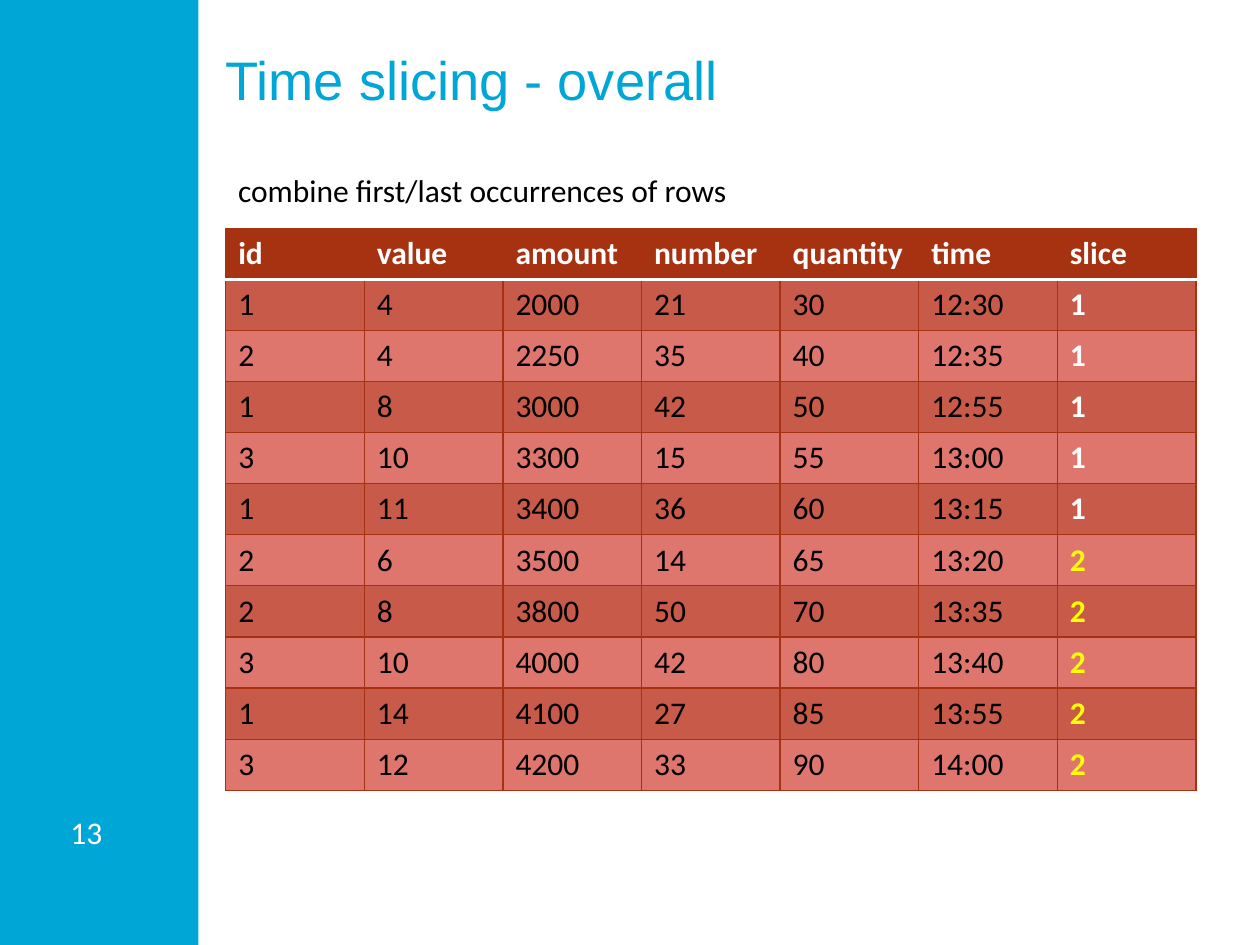
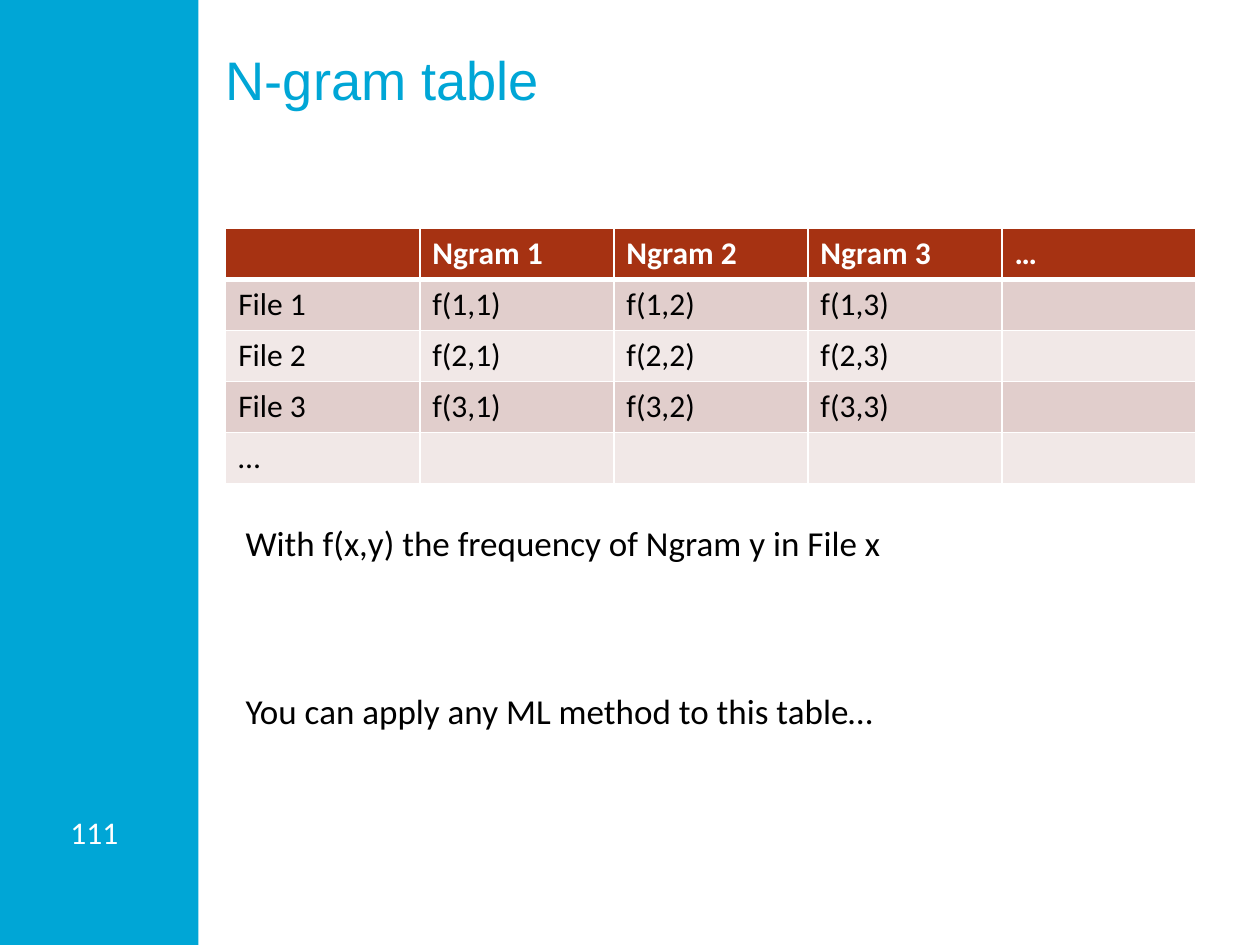
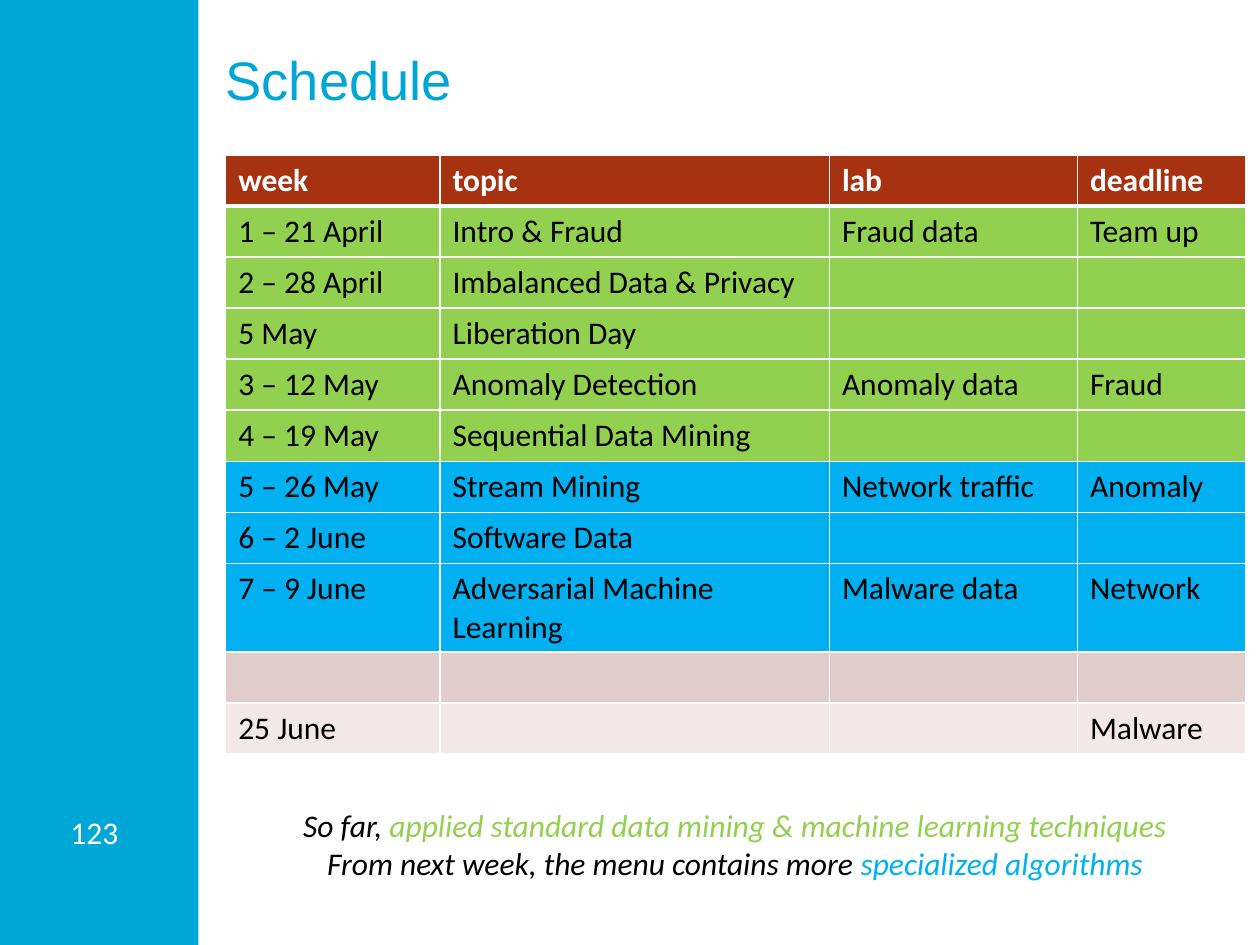
from lxml.etree import SubElement
from pptx import Presentation
from pptx.dml.color import RGBColor
from pptx.enum.shapes import MSO_SHAPE
from pptx.enum.text import MSO_ANCHOR, MSO_AUTO_SIZE, PP_ALIGN
from pptx.oxml.ns import qn
from pptx.util import Cm, Pt

# Shared look
CYAN, RUST, WHITE, BLACK = "00A6D6", "A63212", "FFFFFF", "000000"
GREEN, BLUE, YELLOW = "92D050", "00B0F0", "FFFF00"
PALE_BANDS = ("E1CECC", "F1E8E7")
RED_BANDS = ("C85A49", "DE766E")
LEFT, WIDTH, ROW_HEIGHT = 4.55, 19.56, 1.03

SLICES = [
    ["id", "value", "amount", "number", "quantity", "time", "slice"],
    ["1", "4", "2000", "21", "30", "12:30", "1"],
    ["2", "4", "2250", "35", "40", "12:35", "1"],
    ["1", "8", "3000", "42", "50", "12:55", "1"],
    ["3", "10", "3300", "15", "55", "13:00", "1"],
    ["1", "11", "3400", "36", "60", "13:15", "1"],
    ["2", "6", "3500", "14", "65", "13:20", "2"],
    ["2", "8", "3800", "50", "70", "13:35", "2"],
    ["3", "10", "4000", "42", "80", "13:40", "2"],
    ["1", "14", "4100", "27", "85", "13:55", "2"],
    ["3", "12", "4200", "33", "90", "14:00", "2"],
]
NGRAMS = [
    ["", "Ngram 1", "Ngram 2", "Ngram 3", "…"],
    *[[f"File {x}", *[f"f({x},{y})" for y in (1, 2, 3)], ""] for x in (1, 2, 3)],
    ["…", "", "", "", ""],
]
SCHEDULE = [
    ["week", "topic", "lab", "deadline"],
    ["1 – 21 April", "Intro & Fraud", "Fraud data", "Team up"],
    ["2 – 28 April", "Imbalanced Data & Privacy", "", ""],
    ["5 May", "Liberation Day", "", ""],
    ["3 – 12 May", "Anomaly Detection", "Anomaly data", "Fraud"],
    ["4 – 19 May", "Sequential Data Mining", "", ""],
    ["5 – 26 May", "Stream Mining", "Network traffic", "Anomaly"],
    ["6 – 2 June", "Software Data", "", ""],
    ["7 – 9 June", "Adversarial Machine Learning", "Malware data", "Network"],
    ["", "", "", ""],
    ["25 June", "", "", "Malware"],
]


def rgb(hex_color):
    return RGBColor.from_string(hex_color)


def style(p, size=18, color=BLACK, bold=False, name="Calibri"):
    for r in p.runs:
        r.font.name, r.font.size, r.font.bold = name, Pt(size), bold
        r.font.color.rgb = rgb(color)


def add_text(s, box, lines, size=18, color=BLACK):
    """Add a text box with one paragraph per line."""
    tf = s.shapes.add_textbox(*map(Cm, box)).text_frame
    tf.word_wrap = True
    tf.text = "\n".join(lines)
    for p in tf.paragraphs:
        style(p, size, color)
    return tf


def add_base_slide(prs, title, number):
    """Add a slide with side band, page number and title."""
    s = prs.slides.add_slide(prs.slide_layouts[5])

    # Side band, behind everything else
    band = s.shapes.add_shape(MSO_SHAPE.RECTANGLE, 0, 0, Cm(4), prs.slide_height)
    band.shadow.inherit = False
    band.fill.solid()
    band.fill.fore_color.rgb = rgb(CYAN)
    band.line.fill.background()

    # Page number
    tf = add_text(s, (1.24, 16.28, 1.37, 1.02), [str(number)], color=WHITE)
    tf.margin_left = tf.margin_right = Cm(0.18)
    tf.margin_top = tf.margin_bottom = Cm(0.1)

    # Title
    sp = s.shapes.title
    sp.left, sp.top, sp.width, sp.height = map(Cm, (LEFT, 0.94, WIDTH, 2.95))
    tf = sp.text_frame
    tf.text = title
    tf.auto_size = MSO_AUTO_SIZE.NONE
    tf.vertical_anchor = MSO_ANCHOR.TOP
    tf.margin_left = tf.margin_right = tf.margin_top = tf.margin_bottom = 0
    p = tf.paragraphs[0]
    p.alignment = PP_ALIGN.LEFT
    style(p, 31, CYAN, name="Arial")
    return s


def set_border(cell, side, color, width):
    ln = SubElement(cell._tc.get_or_add_tcPr(), qn(f"a:ln{side}"), w=str(Pt(width)))
    SubElement(SubElement(ln, qn("a:solidFill")), qn("a:srgbClr"), val=color)


def add_grid(s, top, rows, col_widths, fills, line=(WHITE, 1), rule=(WHITE, 3)):
    """Add a table with a rust header, ruled off from rows filled by fills."""
    frame = s.shapes.add_table(
        len(rows), len(col_widths), Cm(LEFT), Cm(top),
        Cm(sum(col_widths)), Cm(ROW_HEIGHT * len(rows)))
    table = frame.table
    for column, width in zip(table.columns, col_widths):
        column.width = Cm(width)
    for i, values in enumerate(rows):
        table.rows[i].height = Cm(ROW_HEIGHT)
        for j, value in enumerate(values):
            cell = table.cell(i, j)
            set_border(cell, "L", *line)
            set_border(cell, "R", *line)
            set_border(cell, "T", *(rule if i == 1 else line))
            set_border(cell, "B", *(rule if i == 0 else line))
            cell.fill.solid()
            cell.fill.fore_color.rgb = rgb(fills[i - 1] if i else RUST)
            cell.text = value
            style(cell.text_frame.paragraphs[0], color=BLACK if i else WHITE, bold=i == 0)
    return table


def build_slicing(prs):
    s = add_base_slide(prs, "Time slicing - overall", 13)
    table = add_grid(s, 4.6, SLICES, [WIDTH / 7] * 7, RED_BANDS * 5,
                     line=(RUST, 0.79), rule=(WHITE, 2))
    # Slice numbers stand out by colour
    for i, row in enumerate(SLICES[1:], 1):
        p = table.cell(i, 6).text_frame.paragraphs[0]
        style(p, color=WHITE if row[6] == "1" else YELLOW, bold=True)
    add_text(s, (LEFT, 3.33, 14.86, 1.27), ["combine first/last occurrences of rows"])


def build_ngrams(prs):
    s = add_base_slide(prs, "N-gram table", 111)
    add_grid(s, 4.6, NGRAMS, [WIDTH / 5] * 5, PALE_BANDS * 2)
    tf = add_text(s, (4.7, 10.39, 13.61, 4.52),
                  ["With f(x,y) the frequency of Ngram y in File x",
                   "You can apply any ML method to this table…"], size=20)
    tf.paragraphs[1].space_before = Pt(72)


def build_schedule(prs):
    s = add_base_slide(prs, "Schedule", 123)
    fills = [GREEN] * 5 + [BLUE] * 3 + list(PALE_BANDS)
    add_grid(s, 3.12, SCHEDULE, [4.32, 7.85, 5, 3.4], fills)

    # Summary, each line ending in the colour of its rows
    summary = [
        ("So far, ", "applied standard data mining & machine learning techniques", GREEN),
        ("From next week, the menu contains more ", "specialized algorithms", BLUE),
    ]
    tf = add_text(s, (5.64, 16.13, 18.36, 1.83), [lead for lead, _, _ in summary])
    for p, (_, ending, color) in zip(tf.paragraphs, summary):
        p.alignment = PP_ALIGN.CENTER
        p.add_run().text = ending
        style(p)
        p.runs[1].font.color.rgb = rgb(color)
        for r in p.runs:
            r.font.italic = True


def main():
    prs = Presentation()
    prs.slide_width, prs.slide_height = Cm(25.4), Cm(19.05)
    build_slicing(prs)
    build_ngrams(prs)
    build_schedule(prs)
    prs.save("out.pptx")


if __name__ == "__main__":
    main()
